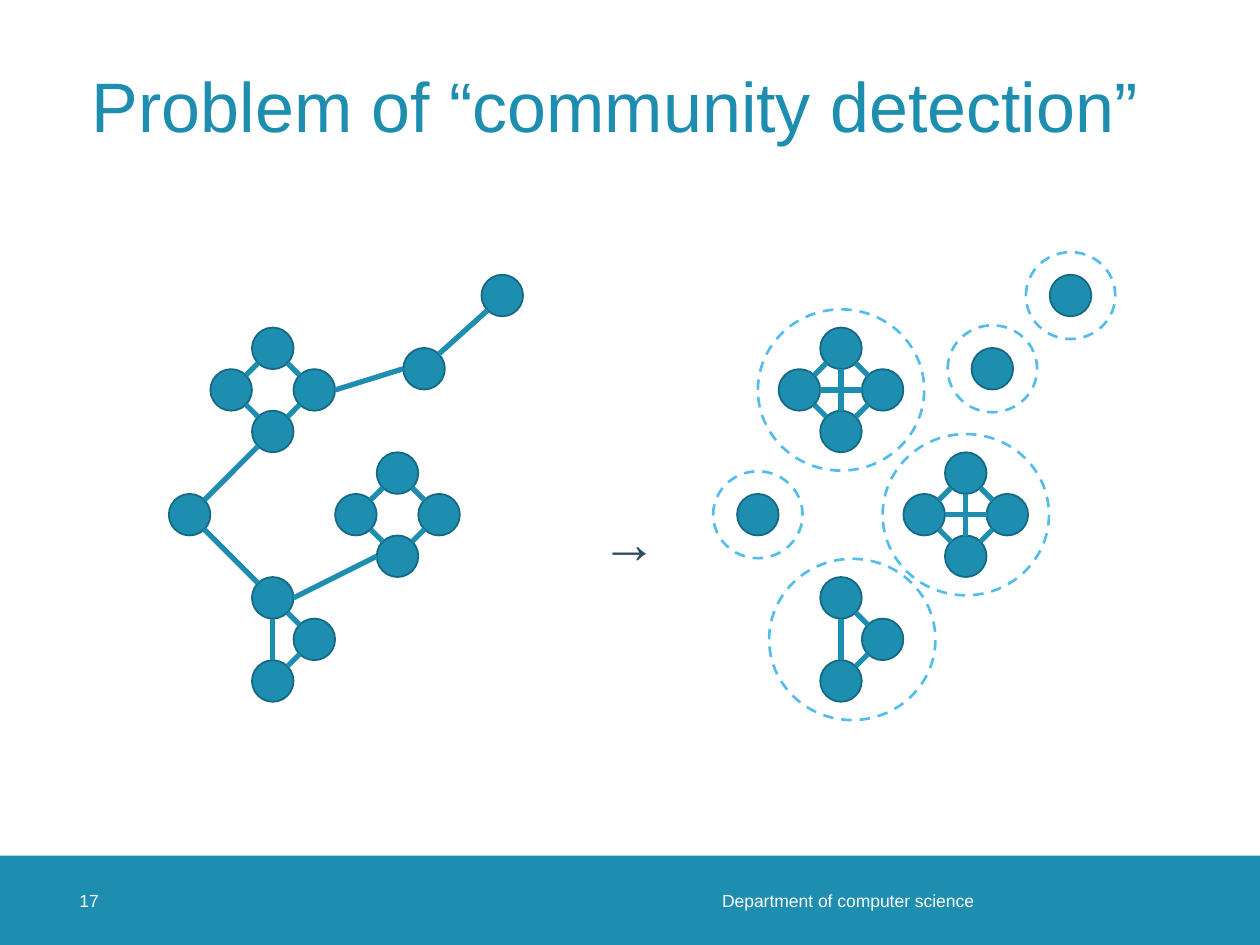
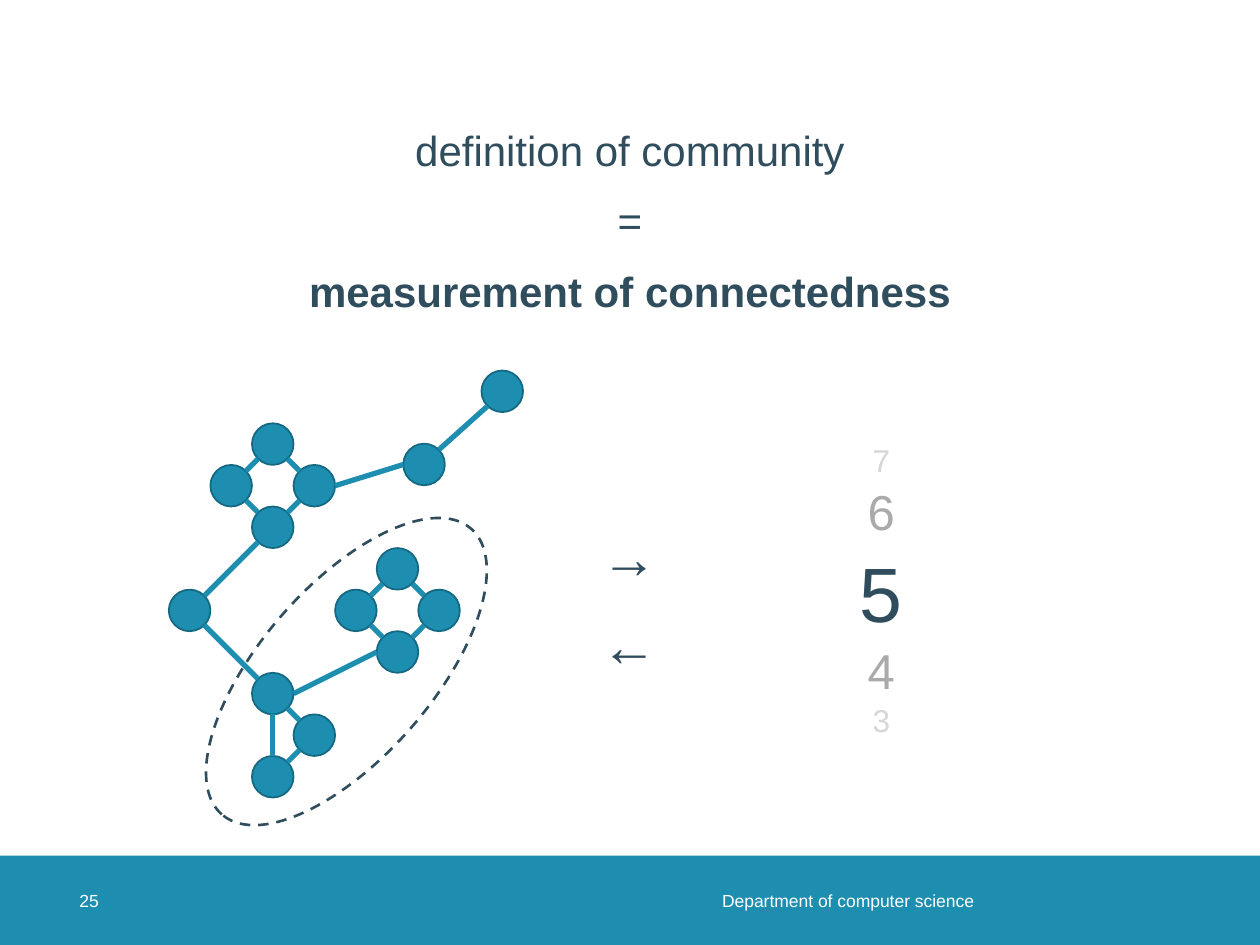
from dataclasses import dataclass
from math import atan2, cos, pi, sin

from pptx import Presentation
from pptx.dml.color import RGBColor
from pptx.enum.dml import MSO_LINE
from pptx.enum.shapes import MSO_CONNECTOR as CONNECTOR, MSO_SHAPE as SHAPE
from pptx.enum.text import MSO_ANCHOR as ANCHOR, MSO_AUTO_SIZE as AUTO_SIZE, PP_ALIGN as ALIGN
from pptx.oxml.ns import qn
from pptx.util import Inches, Pt

COLUMNS, ROWS = 100, 75
TITLE_ONLY, BLANK = 5, 6
MARGIN, CONTENT_WIDTH = 6.3, 87.4
FOOTER_TOP, FOOTER_HEIGHT = 67.9, 7.1
NODE = 3.3
GRAPH_LEFT, COMMUNITIES_LEFT = 13.4, 58.5

DIAMOND = {"top": (1, 0), "left": (0, 1), "right": (2, 1), "bottom": (1, 2)}
UPPER = {f"upper {side}": (1 + x, y) for side, (x, y) in DIAMOND.items()}
LOWER = {f"lower {side}": (4 + x, 3 + y) for side, (x, y) in DIAMOND.items()}
TRIANGLE = {"apex": (2, 6), "corner": (3, 7), "base": (2, 8)}
SINGLES = {"relay": (5.64, 0.49), "outpost": (7.52, -1.27), "loner": (0, 4)}
NODES = UPPER | LOWER | TRIANGLE | SINGLES

RIM = [("right", "top"), ("left", "top"), ("left", "bottom"), ("bottom", "right")]
SPOKES = [("top", "bottom"), ("left", "right")]


def diamond_edges(pairs):
    return [(f"{half} {a}", f"{half} {b}") for half in ("upper", "lower") for a, b in pairs]


INNER_EDGES = diamond_edges(RIM) + [("corner", "apex"), ("base", "corner"), ("apex", "base")]
BRIDGES = [("upper right", "relay"), ("relay", "outpost"), ("upper bottom", "loner"),
           ("loner", "apex"), ("apex", "lower bottom")]
COMMUNITY_CENTRES = [(2, 1), (2.27, 7), (5, 4)]


@dataclass(frozen=True)
class Theme:
    font: str = "Arial"
    main: str = "1D8DB0"
    node_line: str = "156882"
    ring: str = "52BDEC"
    ink: str = "2F4D5D"
    near: str = "AAAAAA"
    far: str = "D6D6D6"
    white: str = "FFFFFF"
    title: int = 40
    body: int = 24
    arrow: int = 32
    footer: int = 10
    scale: tuple = (18, 28, 44)


class Deck:
    def __init__(self, theme):
        self.theme = theme
        self.show = Presentation()
        self.show.slide_width, self.show.slide_height = Inches(10), Inches(7.5)
        self.slide = None

    def cells(self, across, down):
        return (round(self.show.slide_width * across / COLUMNS),
                round(self.show.slide_height * down / ROWS))

    def box(self, left, top, width, height):
        return self.cells(left, top) + self.cells(width, height)

    def start(self, number, title=None):
        layout = self.show.slide_layouts[TITLE_ONLY if title else BLANK]
        self.slide = self.show.slides.add_slide(layout)
        self.band()
        self.text(["Department of computer science"], (38.9, FOOTER_TOP, 40.4, FOOTER_HEIGHT),
                  [self.theme.footer], [self.theme.white], ALIGN.RIGHT, insets=(0, 0, 0.2, 0))
        self.text([str(number)], (MARGIN, FOOTER_TOP, 7.1, FOOTER_HEIGHT),
                  [self.theme.footer], [self.theme.white], ALIGN.LEFT, insets=(0, 0, 0, 0))
        if title:
            heading = self.slide.shapes.title
            heading.left, heading.top, heading.width, heading.height = self.box(
                MARGIN, 2.4, CONTENT_WIDTH, 12.6)
            self.typeset(heading.text_frame, [title], [self.theme.title], [self.theme.main],
                         ALIGN.LEFT, spacing=0.9)

    def typeset(self, frame, lines, sizes, colours, align, gap=0, spacing=1.0, bold=()):
        frame.word_wrap = True
        frame.auto_size = AUTO_SIZE.NONE
        frame.vertical_anchor = ANCHOR.MIDDLE
        frame.text = "\n".join(lines)
        for index, paragraph in enumerate(frame.paragraphs):
            paragraph.alignment = align
            paragraph.line_spacing = spacing
            paragraph.space_before = Pt(gap if index else 0)
            for run in paragraph.runs:
                run.font.name = self.theme.font
                run.font.size = Pt(sizes[index % len(sizes)])
                run.font.color.rgb = RGBColor.from_string(colours[index % len(colours)])
                run.font.bold = index in bold

    def text(self, lines, place, sizes, colours, align=ALIGN.CENTER, insets=None, **style):
        frame = self.slide.shapes.add_textbox(*self.box(*place)).text_frame
        if insets:
            (frame.margin_left, frame.margin_top,
             frame.margin_right, frame.margin_bottom) = map(Inches, insets)
        self.typeset(frame, lines, sizes, colours, align, **style)

    def body(self, lines, top, height, size, bold=()):
        self.text(lines, (MARGIN, top, CONTENT_WIDTH, height), [size], [self.theme.ink],
                  gap=10, spacing=1.05, bold=bold)

    def shape(self, kind, place, fill=None, line=None, weight=1.0, dashed=False):
        drawn = self.slide.shapes.add_shape(kind, *self.box(*place))
        drawn.shadow.inherit = False
        if fill:
            drawn.fill.solid()
            drawn.fill.fore_color.rgb = RGBColor.from_string(fill)
        else:
            drawn.fill.background()
        if line:
            drawn.line.color.rgb = RGBColor.from_string(line)
            drawn.line.width = Pt(weight)
        else:
            drawn.line.fill.background()
        if dashed:
            drawn.line.dash_style = MSO_LINE.DASH
        return drawn

    def band(self):
        self.shape(SHAPE.RECTANGLE, (0, FOOTER_TOP, COLUMNS, FOOTER_HEIGHT), self.theme.main)

    def ring(self, centre, width, height, colour, turn=0):
        x, y = centre
        outline = self.shape(SHAPE.OVAL, (x - width / 2, y - height / 2, width, height),
                             line=colour, weight=1.5, dashed=True)
        outline.rotation = turn

    def edge(self, start, end):
        (x1, y1), (x2, y2) = start, end
        angle = round(atan2(y2 - y1, x2 - x1) / (pi / 4)) * pi / 4
        dx, dy = NODE / 2 * cos(angle), NODE / 2 * sin(angle)
        link = self.slide.shapes.add_connector(
            CONNECTOR.STRAIGHT, *self.cells(x1 + dx, y1 + dy), *self.cells(x2 - dx, y2 - dy))
        link.line.color.rgb = RGBColor.from_string(self.theme.main)
        link.line.width = Pt(3)
        properties = link._element.spPr
        properties.append(properties.makeelement(qn("a:effectLst"), {}))

    def graph(self, left, top, edges):
        def centre(spot):
            return left + (spot[0] + 0.5) * NODE, top + (spot[1] + 0.5) * NODE

        for column, row in NODES.values():
            self.shape(SHAPE.OVAL, (left + column * NODE, top + row * NODE, NODE, NODE),
                       self.theme.main, self.theme.node_line)
        for a, b in edges:
            self.edge(centre(NODES[a]), centre(NODES[b]))
        return centre


def detection_slide(deck):
    deck.start(17, "Problem of “community detection”")
    deck.body(["→"], 18.8, 48, deck.theme.arrow)
    deck.graph(GRAPH_LEFT, 26, INNER_EDGES + BRIDGES)
    centre = deck.graph(COMMUNITIES_LEFT, 26, INNER_EDGES + diamond_edges(SPOKES))
    for spot in COMMUNITY_CENTRES:
        deck.ring(centre(spot), 13.2, 12.8, deck.theme.ring)
    for spot in SINGLES.values():
        deck.ring(centre(spot), 7.1, 6.9, deck.theme.ring)


def measurement_slide(deck):
    theme = deck.theme
    deck.start(25)
    deck.body(["definition of community", "=", "measurement of connectedness"],
              3.9, 26.9, theme.body, bold=(2,))
    deck.body(["→", "←"], 26.4, 42.2, theme.arrow)
    deck.graph(GRAPH_LEFT, 33.6, INNER_EDGES + BRIDGES)
    deck.ring((27.5, 53.3), 30.1, 13.6, theme.ink, turn=311.1)
    small, medium, large = theme.scale
    deck.text(["7", "6", "5", "4", "3"], (63.8, 34.8, 12.3, 23.9),
              [small, medium, large, medium, small],
              [theme.far, theme.near, theme.ink, theme.near, theme.far], spacing=1.05)


def main():
    deck = Deck(Theme())
    detection_slide(deck)
    measurement_slide(deck)
    deck.show.save("out.pptx")


if __name__ == "__main__":
    main()
